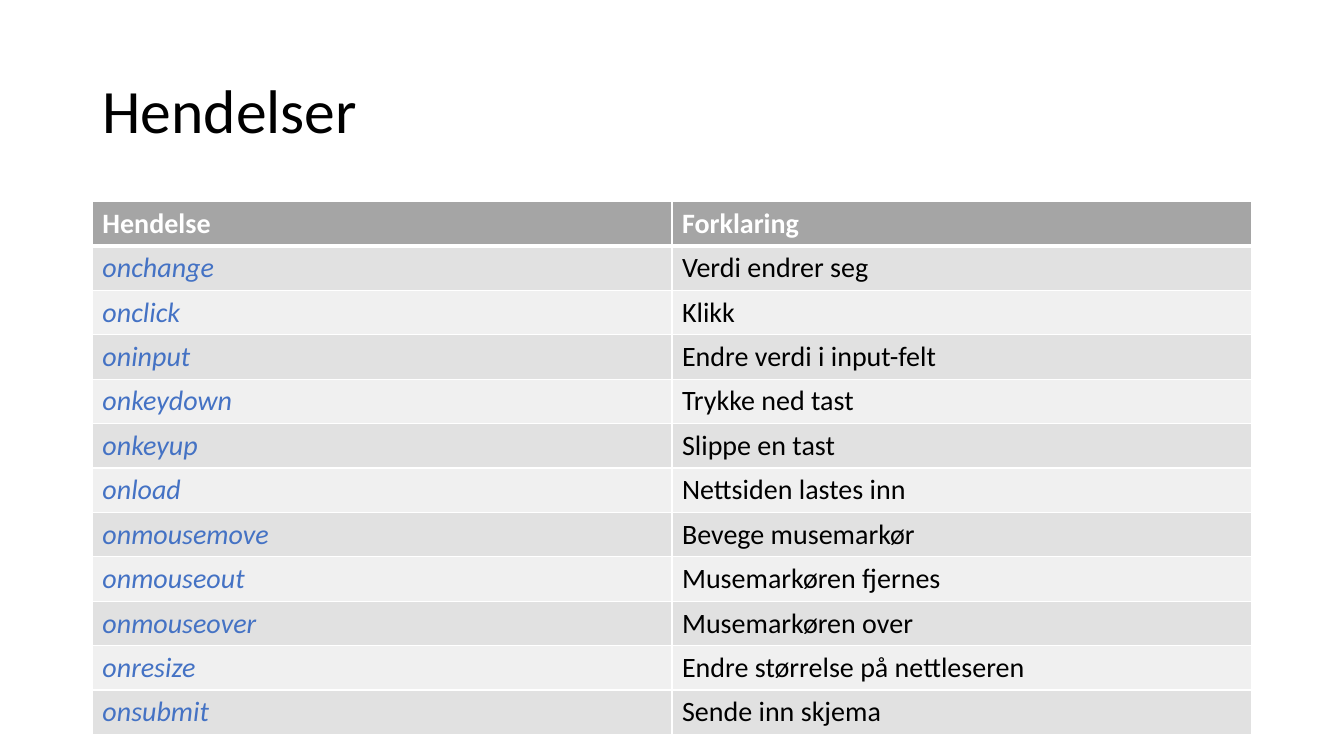
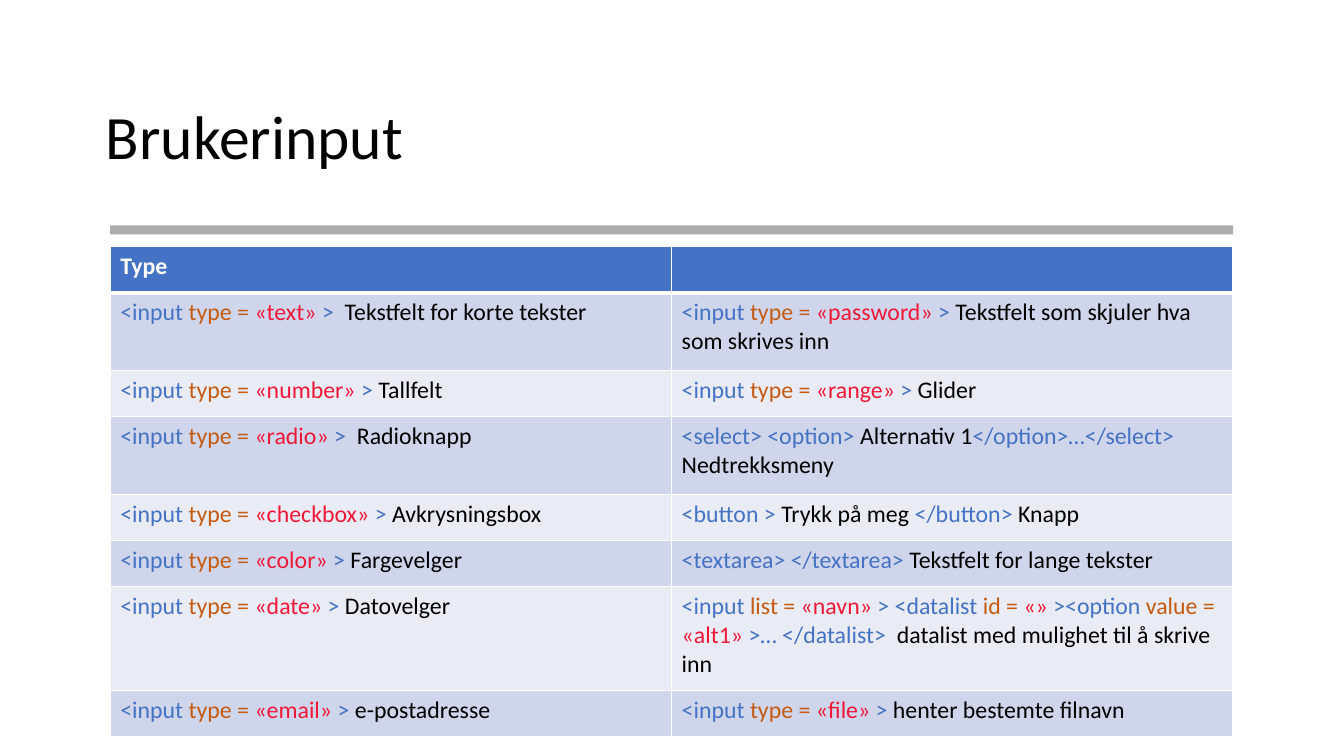
from lxml import etree
from pptx import Presentation
from pptx.dml.color import RGBColor
from pptx.enum import shapes, text
from pptx.oxml import ns
from pptx.util import Pt

FONT = "Calibri"
BLACK, WHITE, BLUE, BROWN, RED = "000000", "FFFFFF", "4472C4", "C55A11", "F01837"

# Content: event table
EVENTS = [
    ("onchange", "Verdi endrer seg"),
    ("onclick", "Klikk"),
    ("oninput", "Endre verdi i input-felt"),
    ("onkeydown", "Trykke ned tast"),
    ("onkeyup", "Slippe en tast"),
    ("onload", "Nettsiden lastes inn"),
    ("onmousemove", "Bevege musemarkør"),
    ("onmouseout", "Musemarkøren fjernes"),
    ("onmouseover", "Musemarkøren over"),
    ("onresize", "Endre størrelse på nettleseren"),
    ("onsubmit", "Sende inn skjema"),
]


def field(kind, label, close="> "):
    """Runs for an input tag followed by its meaning."""
    return [("<input ", BLUE), ("type = ", BROWN), (f"«{kind}» ", RED),
            (close, BLUE), (label, BLACK)]


# Content: input table, each cell a list of (text, colour) runs
INPUTS = [
    (field("text", "Tekstfelt for korte tekster", ">  "),
     field("password", "Tekstfelt som skjuler hva som skrives inn")),
    (field("number", "Tallfelt"), field("range", "Glider")),
    (field("radio", "Radioknapp", ">  "),
     [("<select> <option> ", BLUE), ("Alternativ 1", BLACK),
      ("</option>…</select> ", BLUE), ("Nedtrekksmeny", BLACK)]),
    (field("checkbox", "Avkrysningsbox"),
     [("<button > ", BLUE), ("Trykk på meg ", BLACK),
      ("</button> ", BLUE), ("Knapp", BLACK)]),
    (field("color", "Fargevelger"),
     [("<textarea> </textarea> ", BLUE), ("Tekstfelt for lange tekster", BLACK)]),
    (field("date", "Datovelger"),
     [("<input ", BLUE), ("list = ", BROWN), ("«navn» ", RED),
      ("> <datalist ", BLUE), ("id = ", BROWN), ("«» ", RED),
      ("><option ", BLUE), ("value = ", BROWN), ("«alt1» ", RED),
      (">… </datalist>  ", BLUE),
      ("datalist med mulighet til å skrive inn", BLACK)]),
    (field("email", "e-postadresse"), field("file", "henter bestemte filnavn")),
]

# Each look: header fill, odd band, even band
GREY = ("A5A5A5", "E1E1E1", "F0F0F0")
INDIGO = (BLUE, "CFD5EA", "E9EBF5")


def rgb(code):
    return RGBColor.from_string(code)


def paint(obj, code):
    obj.fill.solid()
    obj.fill.fore_color.rgb = rgb(code)


def start(deck, title, box):
    """Add a slide with its title placed."""
    slide = deck.slides.add_slide(deck.slide_layouts[5])
    head = slide.shapes.title
    head.left, head.top, head.width, head.height = map(Pt, box)
    frame = head.text_frame
    frame.text = title
    frame.vertical_anchor = text.MSO_ANCHOR.MIDDLE
    para = frame.paragraphs[0]
    para.alignment = text.PP_ALIGN.LEFT
    para.line_spacing = 0.9
    para.font.name, para.font.size = FONT, Pt(44)
    para.font.color.rgb = rgb(BLACK)
    return slide


def edge(cell, sides):
    """Draw white cell borders; sides maps a side to its width."""
    props = cell._tc.get_or_add_tcPr()
    for i, (side, width) in enumerate(sides.items()):
        line = etree.Element(ns.qn(f"a:ln{side}"), w=str(Pt(width)))
        fill = etree.SubElement(line, ns.qn("a:solidFill"))
        etree.SubElement(fill, ns.qn("a:srgbClr"), val=WHITE)
        props.insert(i, line)


def grid(slide, rows, place, heights, size, look, slant=False):
    """Add a banded table; slant sets the first column in italics."""
    left, top, width = place
    table = slide.shapes.add_table(
        len(rows), 2, Pt(left), Pt(top), Pt(width), Pt(sum(heights))).table
    for col in table.columns:
        col.width = Pt(width / 2)
    for r, row in enumerate(rows):
        table.rows[r].height = Pt(heights[r])
        band = 0 if r == 0 else 2 - r % 2
        for c, runs in enumerate(row):
            cell = table.cell(r, c)
            paint(cell, look[band])
            edge(cell, {"L": 1, "R": 1, "T": 3 if r == 1 else 1,
                        "B": 3 if r == 0 else 1})
            para = cell.text_frame.paragraphs[0]
            para.font.name, para.font.size = FONT, Pt(size)
            para.font.bold = r == 0
            para.font.italic = slant and r > 0 and c == 0
            for words, code in runs:
                run = para.add_run()
                run.text = words
                run.font.color.rgb = rgb(code)


def events(deck):
    slide = start(deck, "Hendelser", (66, 28.8, 828, 104.4))
    rows = [([("Hendelse", WHITE)], [("Forklaring", WHITE)])]
    rows += [([(name, BLUE)], [(note, BLACK)]) for name, note in EVENTS]
    grid(slide, rows, (66, 144, 828), [31.6] * len(rows), 20, GREY, slant=True)


def inputs(deck):
    slide = start(deck, "Brukerinput", (68.4, 47.5, 823, 104.4))
    left, width = 78.75, 802
    # Translucent rule above the table
    rule = slide.shapes.add_shape(shapes.MSO_SHAPE.RECTANGLE,
                                  Pt(left), Pt(161), Pt(width), Pt(6.5))
    rule.shadow.inherit = False
    rule.line.fill.background()
    paint(rule, "808080")
    tint = rule._element.spPr.find(".//" + ns.qn("a:srgbClr"))
    etree.SubElement(tint, ns.qn("a:alpha"), val="65000")
    # Row height follows the number of text lines
    tall = {1: 33, 2: 55.5, 3: 74}
    heights = [tall[n] for n in (1, 2, 1, 2, 1, 1, 3, 1)]
    rows = [([("Type", WHITE)], [])] + INPUTS
    grid(slide, rows, (left, 176.25, width), heights, 17, INDIGO)


def main():
    deck = Presentation()
    deck.slide_width, deck.slide_height = Pt(960), Pt(540)
    events(deck)
    inputs(deck)
    deck.save("out.pptx")


if __name__ == "__main__":
    main()
